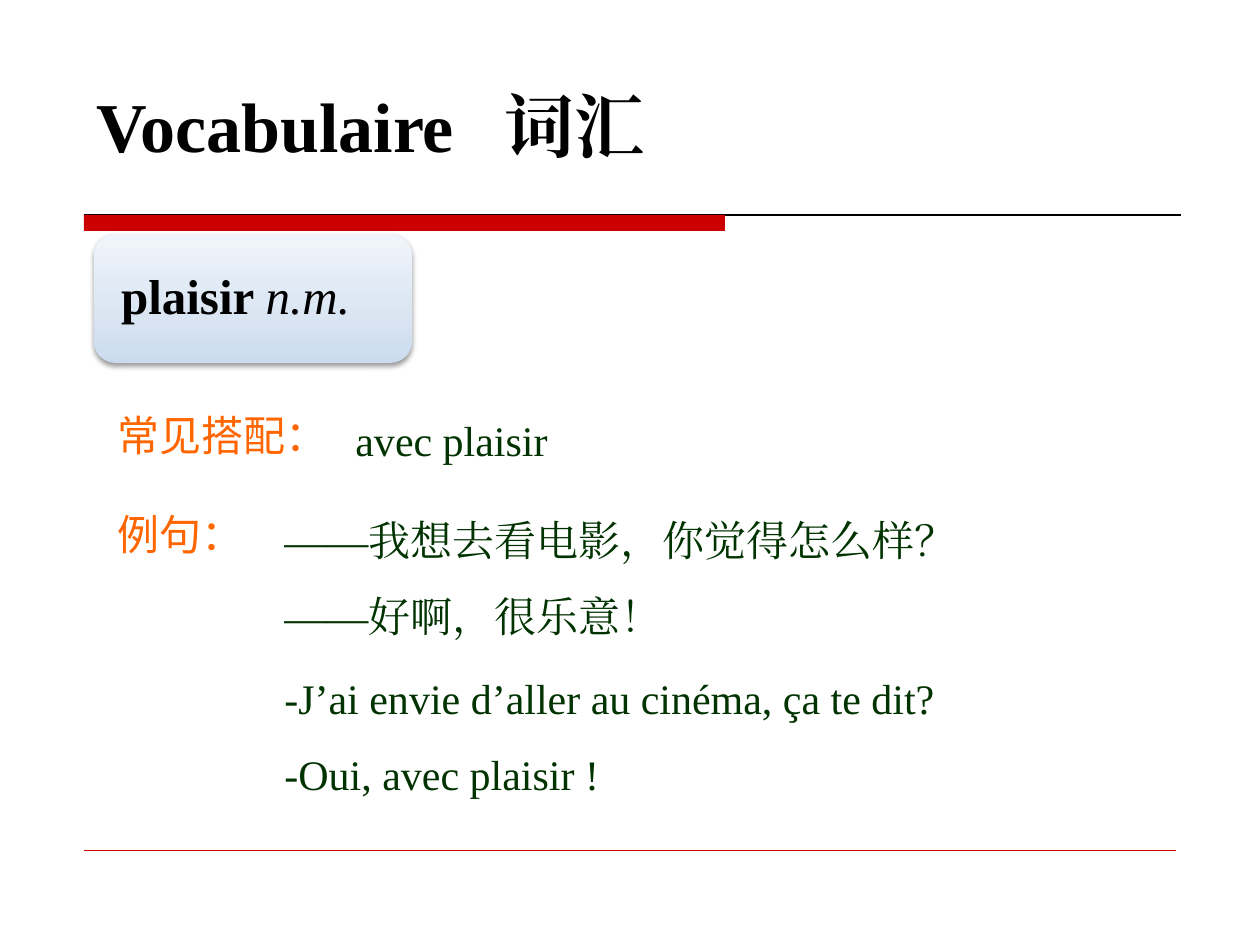
from lxml.etree import SubElement
from pptx import Presentation
from pptx.dml.color import RGBColor
from pptx.enum.shapes import MSO_CONNECTOR as Connector, MSO_SHAPE as Shape
from pptx.enum.text import MSO_ANCHOR as Anchor, PP_ALIGN as Align
from pptx.oxml.ns import qn
from pptx.util import Emu, Pt

SERIF, SANS = "Times New Roman", "Noto Sans CJK SC"
BLACK, RED, ORANGE, GREEN = "000000", "CC0000", "FF6600", "003300"


def px(length):
    return Emu(round(length * 914400 / 126))


def color(value):
    return RGBColor.from_string(value)


class VocabularySlide:
    """Holds the text style and the slide being built."""

    def __init__(self, presentation):
        self.slide = presentation.slides.add_slide(presentation.slide_layouts[5])
        self.shapes = self.slide.shapes

    def style(self, paragraph, size, ink, name=SERIF, bold=None):
        font = paragraph.font
        font.size, font.name, font.bold = Pt(size), name, bold
        font.color.rgb = color(ink)
        properties = paragraph._p.pPr.find(qn("a:defRPr"))
        SubElement(properties, qn("a:ea"), typeface=name)

    def title(self, text, left, top, width, height, tab):
        shape = self.shapes.title
        shape.left, shape.top, shape.width, shape.height = map(px, (left, top, width, height))
        frame = shape.text_frame
        frame.text, frame.vertical_anchor = text, Anchor.MIDDLE
        paragraph = frame.paragraphs[0]
        paragraph.alignment = Align.LEFT
        tabs = SubElement(paragraph._p.get_or_add_pPr(), qn("a:tabLst"))
        SubElement(tabs, qn("a:tab"), pos=str(px(tab)), algn="l")
        self.style(paragraph, 40, BLACK, bold=True)

    def bar(self, left, top, width, height, fill):
        shape = self.shapes.add_shape(Shape.RECTANGLE, *map(px, (left, top, width, height)))
        shape.shadow.inherit = False
        shape.fill.solid()
        shape.fill.fore_color.rgb = color(fill)
        shape.line.fill.background()

    def rule(self, left, right, top, ink, weight):
        line = self.shapes.add_connector(Connector.STRAIGHT, *map(px, (left, top, right, top)))
        line.line.color.rgb = color(ink)
        line.line.width = Pt(weight)
        SubElement(line._element.spPr, qn("a:effectLst"))

    def card(self, word, category, left, top, width, height):
        shape = self.shapes.add_shape(Shape.ROUNDED_RECTANGLE, *map(px, (left, top, width, height)))
        shape.line.fill.background()
        shape.fill.gradient()
        shape.fill.gradient_angle = 90
        for stop, (position, tint) in zip(shape.fill.gradient_stops, ((0, "CCDCEE"), (1, "F0F5FB"))):
            stop.position, stop.color.rgb = position, color(tint)
        shape.shadow.inherit = False
        shadow = SubElement(shape._element.spPr.find(qn("a:effectLst")), qn("a:outerShdw"),
                            blurRad=str(Pt(3.1)), dist=str(Pt(1.6)), dir="5400000", rotWithShape="0")
        SubElement(SubElement(shadow, qn("a:srgbClr"), val=BLACK), qn("a:alpha"), val="38000")
        frame = shape.text_frame
        frame.margin_left = frame.margin_right = px(21)
        frame.vertical_anchor = Anchor.MIDDLE
        paragraph = frame.paragraphs[0]
        paragraph.alignment, paragraph.line_spacing = Align.LEFT, 0.9
        self.style(paragraph, 28, BLACK)
        for text, is_word in ((word, True), (category, False)):
            run = paragraph.add_run()
            run.text, run.font.bold, run.font.italic = text, is_word, not is_word

    def text(self, lines, left, top, width, height, ink=GREEN, name=SERIF,
             spacing=1.5, anchor=Anchor.TOP):
        frame = self.shapes.add_textbox(*map(px, (left, top, width, height))).text_frame
        frame.word_wrap, frame.vertical_anchor = True, anchor
        frame.text = "\n".join(lines)
        for paragraph in frame.paragraphs:
            paragraph.line_spacing = spacing
            self.style(paragraph, 24, ink, name)

    def label(self, text, top, width):
        self.text([text], 105, top, width, 64, ORANGE, SANS, 1, Anchor.MIDDLE)


def main():
    presentation = Presentation()
    presentation.slide_width, presentation.slide_height = px(1260), px(945)
    page = VocabularySlide(presentation)
    page.rule(84, 1181, 215, BLACK, 0.75)
    page.bar(84, 215, 641, 16, RED)
    page.rule(84, 1176, 850, RED, 0.25)
    page.title("Vocabulaire\t词汇", 84, 76, 983, 97, 408)
    page.card("plaisir ", "n.m.", 94, 234, 318, 129)
    page.label("常见搭配：", 403, 287)
    page.text(["avec plaisir"], 343, 383, 219, 79)
    page.label("例句：", 502, 189)
    page.text(["——我想去看电影，你觉得怎么样？", "——好啊，很乐意！"], 272, 483, 784, 156)
    page.text(["-J’ai envie d’aller au cinéma, ça te dit?", "-Oui, avec plaisir !"], 272, 641, 843, 156)
    presentation.save("out.pptx")


if __name__ == "__main__":
    main()
